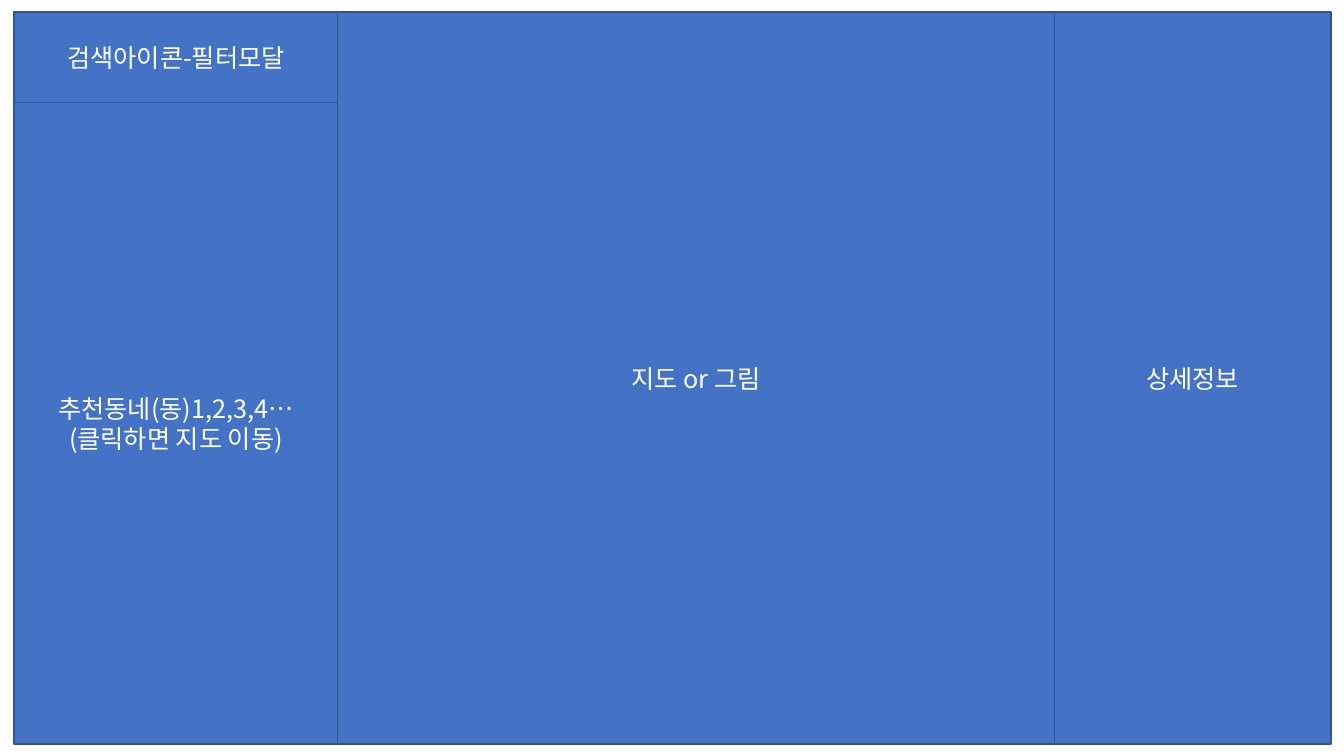
from lxml import etree
from pptx import Presentation
from pptx import util as u
from pptx.dml.color import RGBColor
from pptx.enum import shapes, text
from pptx.oxml import ns


def color(code):
    return RGBColor.from_string(code)


class Board:
    font = "Noto Sans CJK KR"
    size = 18
    fill = "4472C4"
    edge = "325491"
    ink = "FFFFFF"

    def __init__(self, slide):
        self.slide = slide

    def panel(self, label, left, top, right, bottom):
        box = self.slide.shapes.add_shape(
            shapes.MSO_SHAPE.RECTANGLE,
            u.Inches(left), u.Inches(top),
            u.Inches(right - left), u.Inches(bottom - top))
        box.shadow.inherit = False
        box.fill.solid()
        box.fill.fore_color.rgb = color(self.fill)
        box.line.color.rgb = color(self.edge)
        box.line.width = u.Pt(1)
        self.label(box.text_frame, label)

    def label(self, frame, label):
        frame.word_wrap = True
        frame.vertical_anchor = text.MSO_ANCHOR.MIDDLE
        para = frame.paragraphs[0]
        para.text = label
        para.alignment = text.PP_ALIGN.CENTER
        para.font.name = self.font
        para.font.size = u.Pt(self.size)
        para.font.color.rgb = color(self.ink)
        latin = para._p.find(".//" + ns.qn("a:latin"))
        asian = etree.Element(ns.qn("a:ea"), typeface=self.font)
        latin.addnext(asian)


def main():
    deck = Presentation()
    deck.slide_width = u.Inches(13.33)
    deck.slide_height = u.Inches(7.5)
    board = Board(deck.slides.add_slide(deck.slide_layouts[6]))

    left, map_left, info_left, right = 0.14, 3.35, 10.46, 13.2
    top, list_top, bottom = 0.12, 1.02, 7.38

    board.panel("검색아이콘-필터모달", left, top, map_left, list_top)
    board.panel("추천동네(동)1,2,3,4…(클릭하면 지도 이동)",
                left, list_top, map_left, bottom)
    board.panel("지도 or 그림", map_left, top, info_left, bottom)
    board.panel("상세정보", info_left, top, right, bottom)

    deck.save("out.pptx")


if __name__ == "__main__":
    main()
